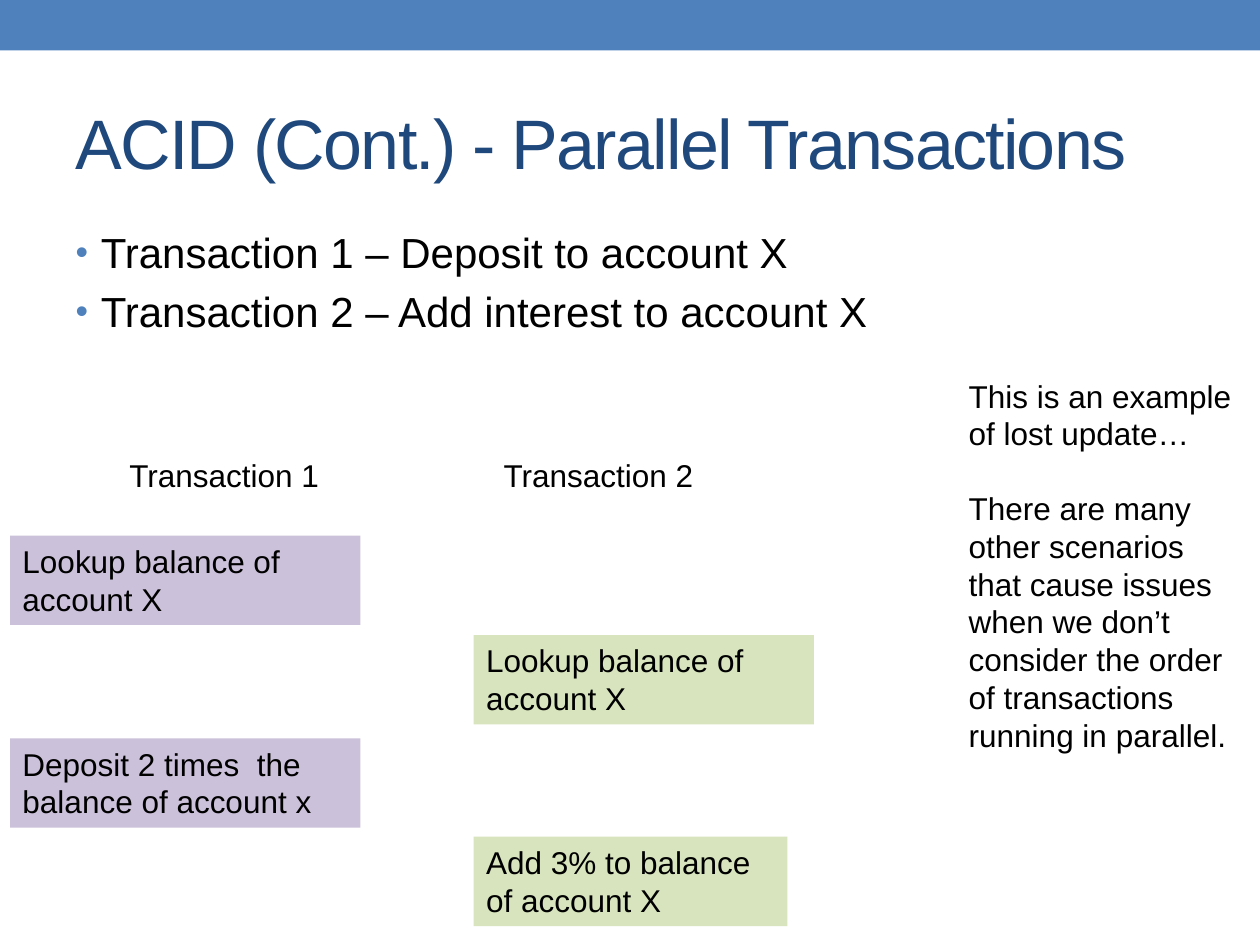
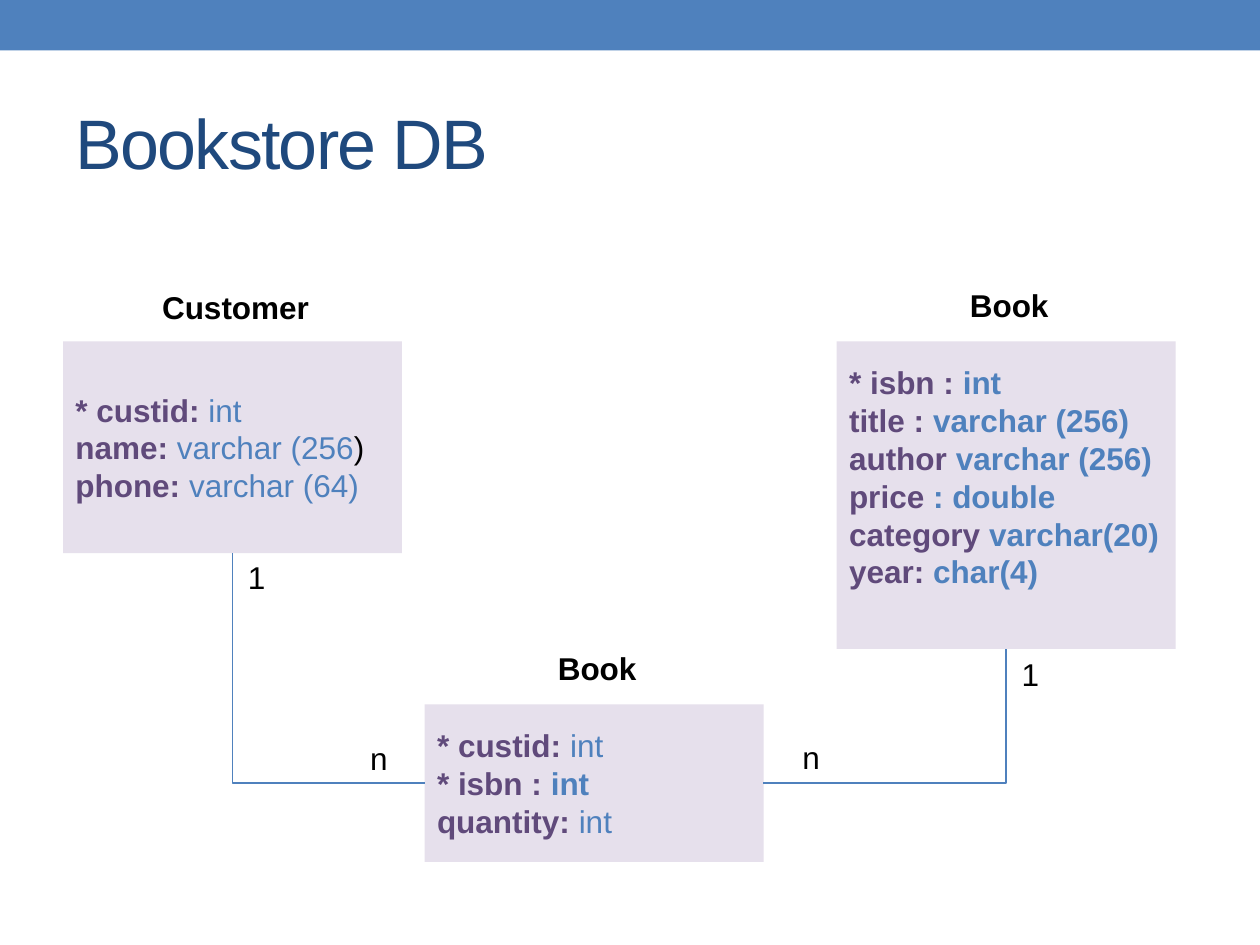
from dataclasses import dataclass

import pptx
import pptx.dml.color
import pptx.enum.shapes
import pptx.enum.text
import pptx.oxml.ns
import pptx.util
from lxml import etree

RGB = pptx.dml.color.RGBColor.from_string
Pt = pptx.util.Pt
qn = pptx.oxml.ns.qn
ALIGN = pptx.enum.text.PP_ALIGN
ANCHOR = pptx.enum.text.MSO_ANCHOR
EMU_PER_PX = 9144  # 100 px to the inch


@dataclass(frozen=True)
class Theme:
    font: str = "Arial"
    accent: str = "4F81BD"
    title: str = "1F497D"
    text: str = "000000"
    field: str = "604A7B"
    entity: str = "E6E0EC"
    first: str = "CCC1DA"
    second: str = "D7E4BD"
    title_pt: int = 40
    list_pt: int = 24
    text_pt: int = 18
    line_pt: float = 0.75


T = Theme()


def px(n):
    return pptx.util.Emu(round(n * EMU_PER_PX))


def place(sp, x, y, w, h):
    sp.left, sp.top, sp.width, sp.height = px(x), px(y), px(w), px(h)


def style(r, size=T.text_pt, color=T.text, bold=False):
    r.font.name = T.font
    r.font.size = Pt(size)
    r.font.bold = bold
    r.font.color.rgb = RGB(color)


# Shared parts
def setup_master(prs, s):
    """Put the top band and the placeholder positions on the master."""
    master = prs.slide_master
    band = add_box(s, 0, 0, 1000, 40, T.accent)
    master.element.cSld.spTree.insert(2, band.element)
    place(master.placeholders[0], 50, 58, 900, 108)
    place(master.placeholders[1], 50, 175, 900, 533)


def set_title(s, text):
    p = s.shapes.title.text_frame.paragraphs[0]
    p.text = text
    p.alignment = ALIGN.LEFT
    r = p.runs[0]
    style(r, T.title_pt, T.title)
    r.font._element.set("spc", "-100")


def set_list(s, items):
    tf = s.placeholders[1].text_frame
    tf.text = "\n".join(items)
    for p in tf.paragraphs:
        style(p.runs[0], T.list_pt)
        pPr = p._p.get_or_add_pPr()
        pPr.set("marL", str(px(20)))
        pPr.set("indent", str(-px(20)))
        color = etree.SubElement(pPr, qn("a:buClr"))
        etree.SubElement(color, qn("a:srgbClr"), val=T.accent)
        etree.SubElement(pPr, qn("a:buSzPct"), val="85000")


# Elements
def add_box(s, x, y, w, h, fill):
    sp = s.shapes.add_shape(pptx.enum.shapes.MSO_SHAPE.RECTANGLE,
                            px(x), px(y), px(w), px(h))
    sp.shadow.inherit = False
    sp.fill.solid()
    sp.fill.fore_color.rgb = RGB(fill)
    sp.line.fill.background()
    return sp


def add_card(s, x, y, w, text, fill):
    tf = add_box(s, x, y, w, 71, fill).text_frame
    tf.vertical_anchor = ANCHOR.TOP
    tf.text = text
    p = tf.paragraphs[0]
    p.alignment = ALIGN.LEFT
    style(p.runs[0])


def add_text(s, x, y, w, h, text, align=ALIGN.LEFT, bold=False, wrap=True, gap=0):
    tf = s.shapes.add_textbox(px(x), px(y), px(w), px(h)).text_frame
    tf.word_wrap = wrap
    tf.text = text
    for p in tf.paragraphs:
        p.alignment = align
        style(p.runs[0], bold=bold)
    for p in tf.paragraphs[:-1]:
        p.space_after = Pt(gap)


def add_entity(s, x, y, h, name, name_y, rows, bottom=5):
    """Draw a named entity; a row is field, type, bold type and optional tail."""
    w = 269
    add_text(s, x + 5, name_y, w - 5, 40, name, ALIGN.CENTER, bold=True)
    sp = add_box(s, x, y, w, h, T.entity)
    tf = sp.text_frame
    tf.vertical_anchor = ANCHOR.MIDDLE
    tf.margin_bottom = px(bottom)
    for i, (field, kind, bold, *tail) in enumerate(rows):
        p = tf.add_paragraph() if i else tf.paragraphs[0]
        p.alignment = ALIGN.LEFT
        parts = [(field, T.field, True), (kind, T.accent, bold)]
        parts += [(text, T.text, False) for text in tail]
        for text, color, is_bold in parts:
            r = p.add_run()
            r.text = text
            style(r, color=color, bold=is_bold)
    return sp


def add_relation(s, start, side, end):
    """Join a side of one entity to the bottom of another with one bend."""
    kind = pptx.enum.shapes.MSO_CONNECTOR.ELBOW
    cxn = s.shapes.add_connector(kind, 0, 0, 0, 0)
    cxn.begin_connect(start, side)
    cxn.end_connect(end, 2)
    cxn.line.color.rgb = RGB(T.accent)
    cxn.line.width = Pt(T.line_pt)
    spPr = cxn.element.spPr
    spPr.find(qn("a:prstGeom")).set("prst", "bentConnector2")
    etree.SubElement(spPr, qn("a:effectLst"))


# Slides
def build_transactions(s):
    set_title(s, "ACID (Cont.) - Parallel Transactions")
    set_list(s, ["Transaction 1 – Deposit to account X",
                 "Transaction 2 – Add interest to account X"])
    for x, heading in ((8, "Transaction 1 "), (305, "Transaction 2 ")):
        add_text(s, x, 357, 347, 40, heading, ALIGN.CENTER)
    cards = [
        (8, 425, 278, "Lookup balance of account X", T.first),
        (376, 504, 270, "Lookup balance of account X", T.second),
        (8, 586, 278, "Deposit 2 times  the balance of account x", T.first),
        (376, 664, 249, "Add 3% to balance of account X", T.second),
    ]
    for card in cards:
        add_card(s, *card)
    add_text(s, 759, 294, 233, 313,
             "This is an example of lost update…\n"
             "There are many other scenarios that cause issues when we don’t "
             "consider the order of transactions running in parallel.", gap=21)


def build_bookstore(s):
    set_title(s, "Bookstore DB")
    customer = add_entity(s, 50, 271, 168, "Customer", 224, [
        ("* custid: ", "int", False),
        ("name: ", "varchar (256", False, ")"),
        ("phone: ", "varchar (64)", False),
    ])
    book = add_entity(s, 664, 271, 244, "Book", 222, [
        ("* isbn : ", "int", True),
        ("title : ", "varchar (256)", True),
        ("author ", "varchar (256)", True),
        ("price ", ": double", True),
        ("category ", "varchar(20)", True),
        ("year: ", "char(4)", True),
    ], bottom=34)
    order = add_entity(s, 337, 559, 125, "Book", 510, [
        ("* custid: ", "int", False),
        ("* isbn : ", "int", True),
        ("quantity: ", "int", False),
    ])
    add_relation(s, order, 1, customer)
    add_relation(s, order, 3, book)
    cardinalities = [(284, 582, "n"), (627, 581, "n"), (801, 515, "1"), (187, 438, "1")]
    for x, y, text in cardinalities:
        add_text(s, x, y, 34, 40, text, wrap=False)


def main():
    prs = pptx.Presentation()
    prs.slide_width, prs.slide_height = px(1000), px(750)
    content, title_only = prs.slide_layouts[1], prs.slide_layouts[5]
    s = prs.slides.add_slide(content)
    setup_master(prs, s)
    build_transactions(s)
    build_bookstore(prs.slides.add_slide(title_only))
    prs.save("out.pptx")


if __name__ == "__main__":
    main()
